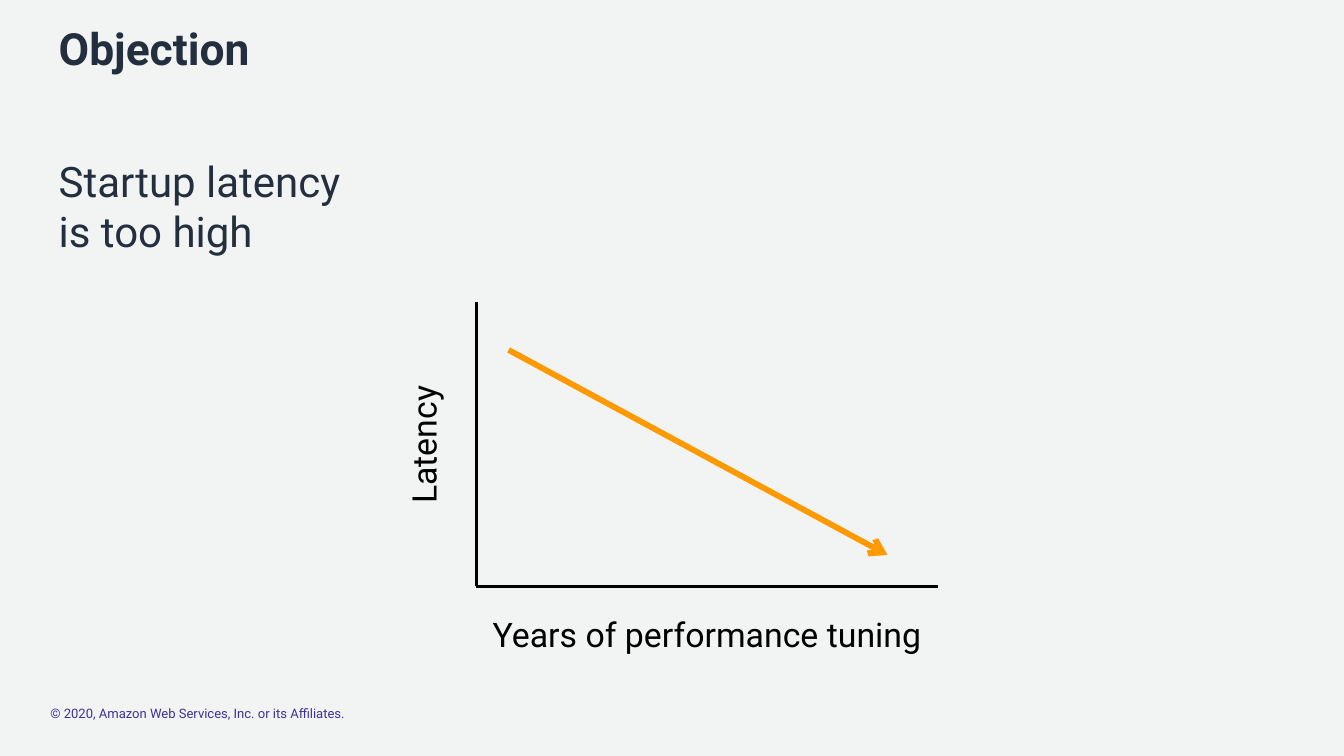
from lxml import etree
from pptx import Presentation
from pptx import util as u
from pptx.dml.color import RGBColor
from pptx.enum import shapes, text
from pptx.oxml import ns

FONT = "Roboto"
BACKGROUND, NAVY, BLACK = "F2F3F3", "232F3E", "000000"
ORANGE, VIOLET = "FF9900", "3C3399"
LEFT, CONTENT_WIDTH = 0.6, 14.78


def color(hex_string):
    return RGBColor.from_string(hex_string)


def add_text(slide, box, words, size, hex_string, bold=False, centered=False,
             inset=(0.1, 0.05), rotation=0):
    """Place one top-anchored paragraph in a box of inches."""
    shape = slide.shapes.add_textbox(*map(u.Inches, box))
    shape.rotation = rotation
    frame = shape.text_frame
    frame.word_wrap = True
    frame.vertical_anchor = text.MSO_ANCHOR.TOP
    frame.margin_left = frame.margin_right = u.Inches(inset[0])
    frame.margin_top = frame.margin_bottom = u.Inches(inset[1])
    paragraph = frame.paragraphs[0]
    paragraph.text = words
    paragraph.alignment = text.PP_ALIGN.CENTER if centered else text.PP_ALIGN.LEFT
    font = paragraph.font
    font.name, font.size, font.bold = FONT, u.Pt(size), bold
    font.color.rgb = color(hex_string)


def add_line(slide, start, end, hex_string, width, arrow=False):
    line = slide.shapes.add_connector(
        shapes.MSO_CONNECTOR.STRAIGHT, *map(u.Inches, (*start, *end)))
    line.line.color.rgb = color(hex_string)
    line.line.width = u.Pt(width)
    if arrow:
        outline = line.line._get_or_add_ln()
        etree.SubElement(outline, ns.qn("a:tailEnd"), type="arrow")
    etree.SubElement(line._element.spPr, ns.qn("a:effectLst"))


def add_heading(slide, left, top, width):
    add_text(slide, (left, top, width, 0.95), "Objection", 38, NAVY, bold=True)
    add_text(slide, (left, top + 1.6, width, 6.22),
             "Startup latency\vis too high", 36, NAVY)


def add_latency_sketch(slide, left, top, width, height):
    """Draw two axes along the box, their labels and a falling trend arrow."""
    bottom = top + height
    label_width, label_height = 2.23, 0.79
    add_text(slide, (left - 0.53 - label_width / 2, top + height / 2 + 0.01 - label_height / 2,
                     label_width, label_height),
             "Latency", 29, BLACK, centered=True, rotation=270)
    add_line(slide, (left, bottom), (left + width, bottom), BLACK, 3)
    add_line(slide, (left, bottom), (left, top), BLACK, 3)
    add_text(slide, (left, bottom + 0.28, width, 0.56),
             "Years of performance tuning", 29, BLACK, centered=True)
    add_line(slide, (left + 0.07 * width, top + 0.17 * height),
             (left + 0.89 * width, top + 0.89 * height), ORANGE, 5, arrow=True)


def add_footer(slide, left, top):
    add_text(slide, (left, top, 7.78, 0.19),
             "© 2020, Amazon Web Services, Inc. or its Affiliates.",
             11.2, VIOLET, inset=(0, 0))


def main():
    presentation = Presentation()
    presentation.slide_width, presentation.slide_height = u.Inches(16), u.Inches(9)
    slide = presentation.slides.add_slide(presentation.slide_layouts[6])
    slide.background.fill.solid()
    slide.background.fill.fore_color.rgb = color(BACKGROUND)
    add_footer(slide, LEFT, 8.4)
    add_heading(slide, LEFT, 0.2, CONTENT_WIDTH)
    add_latency_sketch(slide, 5.67, 3.59, 5.5, 3.39)
    presentation.save("out.pptx")


if __name__ == "__main__":
    main()
